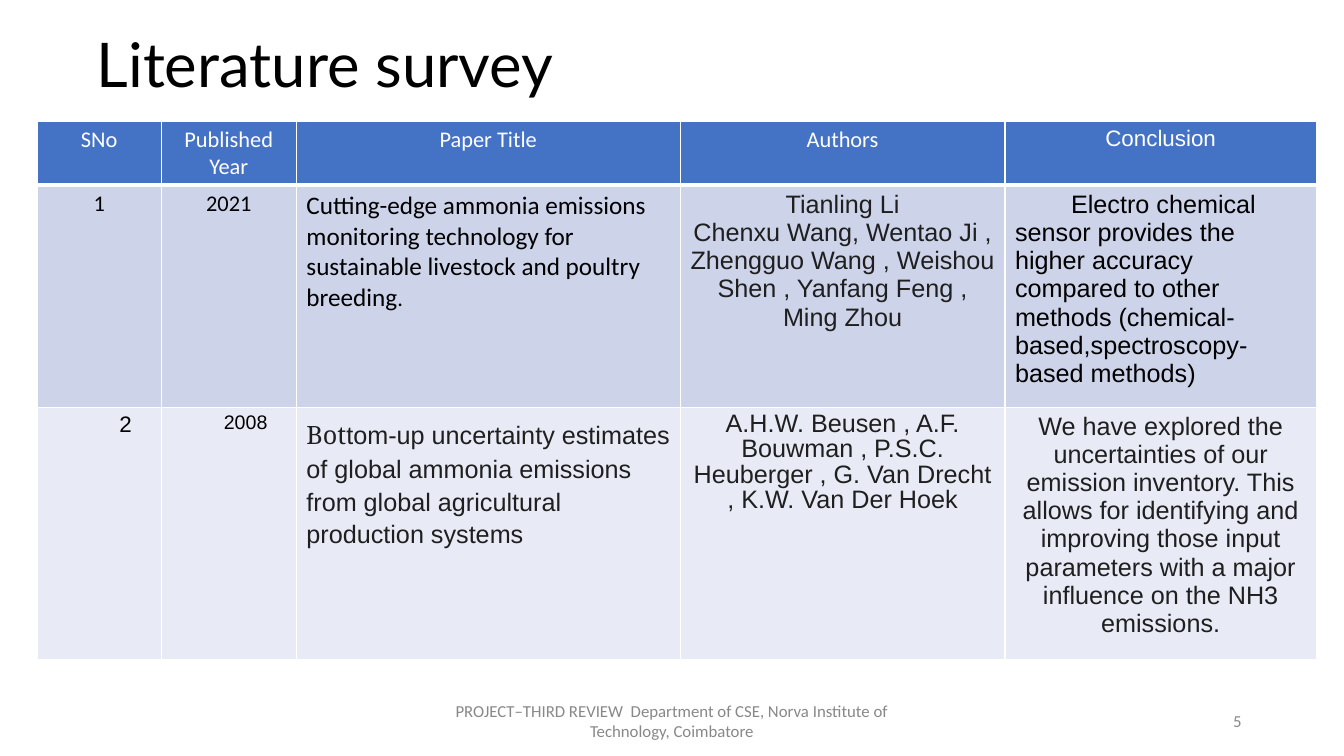
from lxml import etree
from pptx import Presentation
from pptx.dml.color import RGBColor
from pptx.enum import text
from pptx.oxml import ns
from pptx.util import Pt

BLACK = RGBColor(0x00, 0x00, 0x00)
WHITE = RGBColor(0xFF, 0xFF, 0xFF)
INK = RGBColor(0x1F, 0x1F, 0x1F)
GRAY = RGBColor(0x88, 0x88, 0x88)
HEADER_BLUE = RGBColor(0x44, 0x72, 0xC4)
BAND_DARK = RGBColor(0xCD, 0xD4, 0xEA)
BAND_LIGHT = RGBColor(0xE8, 0xEB, 0xF5)

LEFT, CENTER, RIGHT = text.PP_ALIGN.LEFT, text.PP_ALIGN.CENTER, text.PP_ALIGN.RIGHT
COLUMN_WIDTHS = [88.6, 96.5, 274.2, 232, 222.4]
ROW_HEIGHTS = [46, 149, 168]
ROW_FILLS = [HEADER_BLUE, BAND_DARK, BAND_LIGHT]


def run(words, size=18, font="Arial", color=BLACK):
    return words, size, font, color


def para(*runs, align=CENTER, margin=0, indent=0, spacing=None, before=0):
    return runs, align, margin, indent, spacing, before


def write(frame, paragraphs):
    frame.word_wrap = True
    for index, (runs, align, margin, indent, spacing, before) in enumerate(paragraphs):
        paragraph = frame.paragraphs[0] if index == 0 else frame.add_paragraph()
        paragraph.alignment = align
        paragraph.space_before = Pt(before)
        if spacing:
            paragraph.line_spacing = spacing
        properties = paragraph._p.get_or_add_pPr()
        properties.set("marL", str(Pt(margin)))
        properties.set("indent", str(Pt(indent)))
        for words, size, font, color in runs:
            piece = paragraph.add_run()
            piece.text = words
            piece.font.size = Pt(size)
            piece.font.name = font
            piece.font.color.rgb = color


def add_text(slide, left, top, width, height, paragraph):
    box = slide.shapes.add_textbox(Pt(left), Pt(top), Pt(width), Pt(height))
    box.text_frame.vertical_anchor = text.MSO_ANCHOR.MIDDLE
    write(box.text_frame, [paragraph])


def add_border(cell, side, width):
    line = etree.SubElement(cell._tc.get_or_add_tcPr(), ns.qn(f"a:ln{side}"), w=str(Pt(width)))
    fill = etree.SubElement(line, ns.qn("a:solidFill"))
    etree.SubElement(fill, ns.qn("a:srgbClr"), val=str(WHITE))


def add_survey_table(slide, left, top, rows):
    frame = slide.shapes.add_table(
        len(rows), len(COLUMN_WIDTHS), Pt(left), Pt(top),
        Pt(sum(COLUMN_WIDTHS)), Pt(sum(ROW_HEIGHTS)))
    table = frame.table
    for column, width in zip(table.columns, COLUMN_WIDTHS):
        column.width = Pt(width)
    for row_index, contents in enumerate(rows):
        table.rows[row_index].height = Pt(ROW_HEIGHTS[row_index])
        widths = {"L": 1, "R": 1, "T": 3 if row_index == 1 else 1, "B": 3 if row_index == 0 else 1}
        for column_index, paragraphs in enumerate(contents):
            cell = table.cell(row_index, column_index)
            for side, width in widths.items():
                add_border(cell, side, width)
            cell.fill.solid()
            cell.fill.fore_color.rgb = ROW_FILLS[row_index]
            write(cell.text_frame, paragraphs)


def survey_rows():
    headings = ["SNo", "Published Year", "Paper Title", "Authors", "Conclusion"]
    header = [[para(run(heading, 16, "Arial" if heading == "Conclusion" else "Calibri", WHITE))]
              for heading in headings]
    first = [
        [para(run("1", 16, "Calibri"))],
        [para(run("2021", 16, "Calibri"))],
        [para(run("Cutting-edge ammonia emissions monitoring technology for sustainable "
                  "livestock and poultry breeding", 18, "Calibri"),
              run(".", 16, "Calibri"), align=LEFT)],
        [para(run(names, color=INK)) for names in (
            "Tianling Li",
            "Chenxu Wang, Wentao Ji , Zhengguo Wang , Weishou Shen , Yanfang Feng ,",
            "Ming Zhou")],
        [para(run("Electro chemical sensor provides the higher accuracy compared to other "
                  "methods (chemical-based,spectroscopy-based methods)"),
              align=LEFT, indent=40)],
    ]
    second = [
        [para(run("2", 16), margin=37.5)],
        [para(run("2008", 14), align=LEFT, margin=37.5)],
        [para(run("Bot", font="Noto Serif", color=INK),
              run("tom-up uncertainty estimates of global ammonia emissions from global "
                  "agricultural production systems", color=INK),
              align=LEFT, spacing=1.15, before=12)],
        [para(run("A.H.W. Beusen , A.F. Bouwman , P.S.C. Heuberger , G. Van Drecht , "
                  "K.W. Van Der Hoek", color=INK), spacing=0.9, before=10)],
        [para(run("We have explored the uncertainties of our emission inventory. This allows "
                  "for identifying and improving those input parameters with a major influence "
                  "on the NH3 emissions.", color=INK))],
    ]
    return [header, first, second]


def main():
    presentation = Presentation()
    presentation.slide_width, presentation.slide_height = Pt(960), Pt(540)
    slide = presentation.slides.add_slide(presentation.slide_layouts[6])
    add_text(slide, 62, 14.4, 828, 67.7,
             para(run("Literature survey", 44, "Lato"), align=LEFT, spacing=0.9))
    add_survey_table(slide, 26.6, 86.4, survey_rows())
    add_text(slide, 318, 500.5, 324, 28.8,
             para(run("PROJECT–THIRD REVIEW  Department of CSE, Norva Institute of "
                      "Technology, Coimbatore", 12, "Calibri", GRAY)))
    add_text(slide, 678, 500.5, 216, 28.8,
             para(run("5", 12, "Calibri", GRAY), align=RIGHT))
    presentation.save("out.pptx")


if __name__ == "__main__":
    main()
